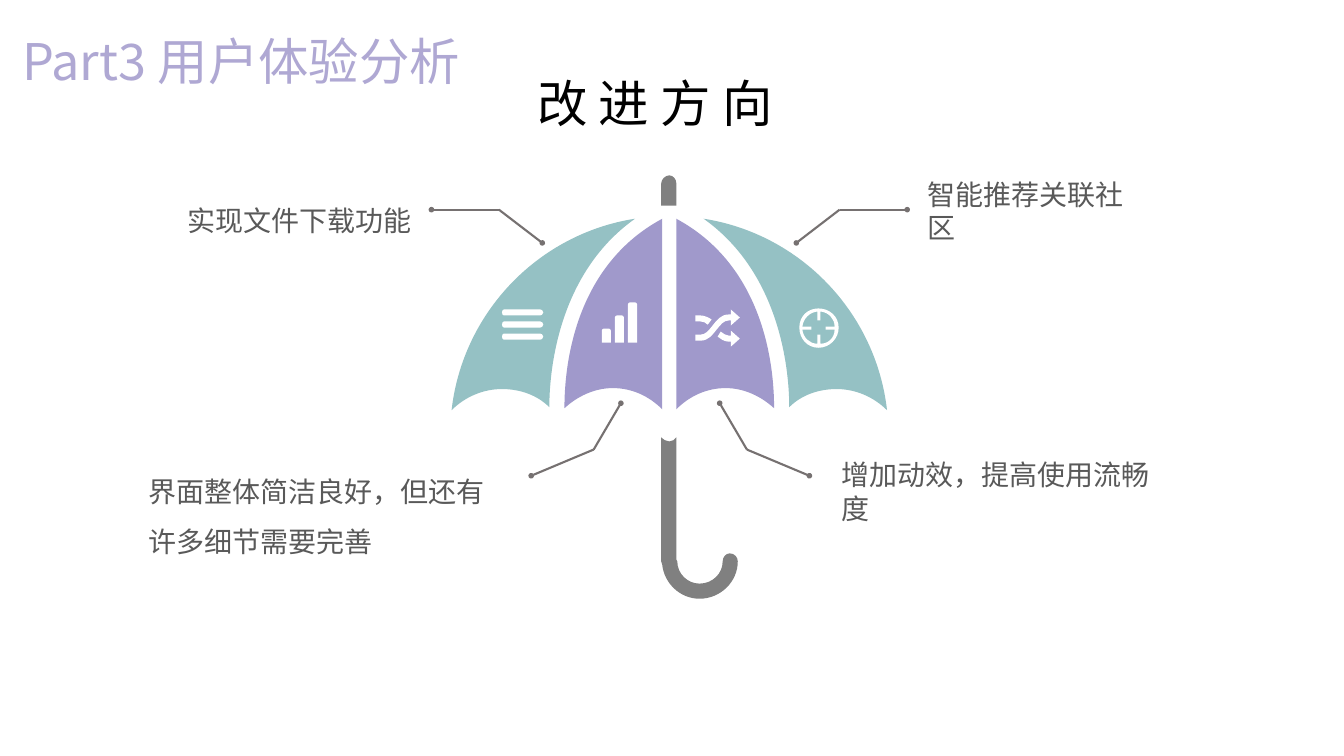
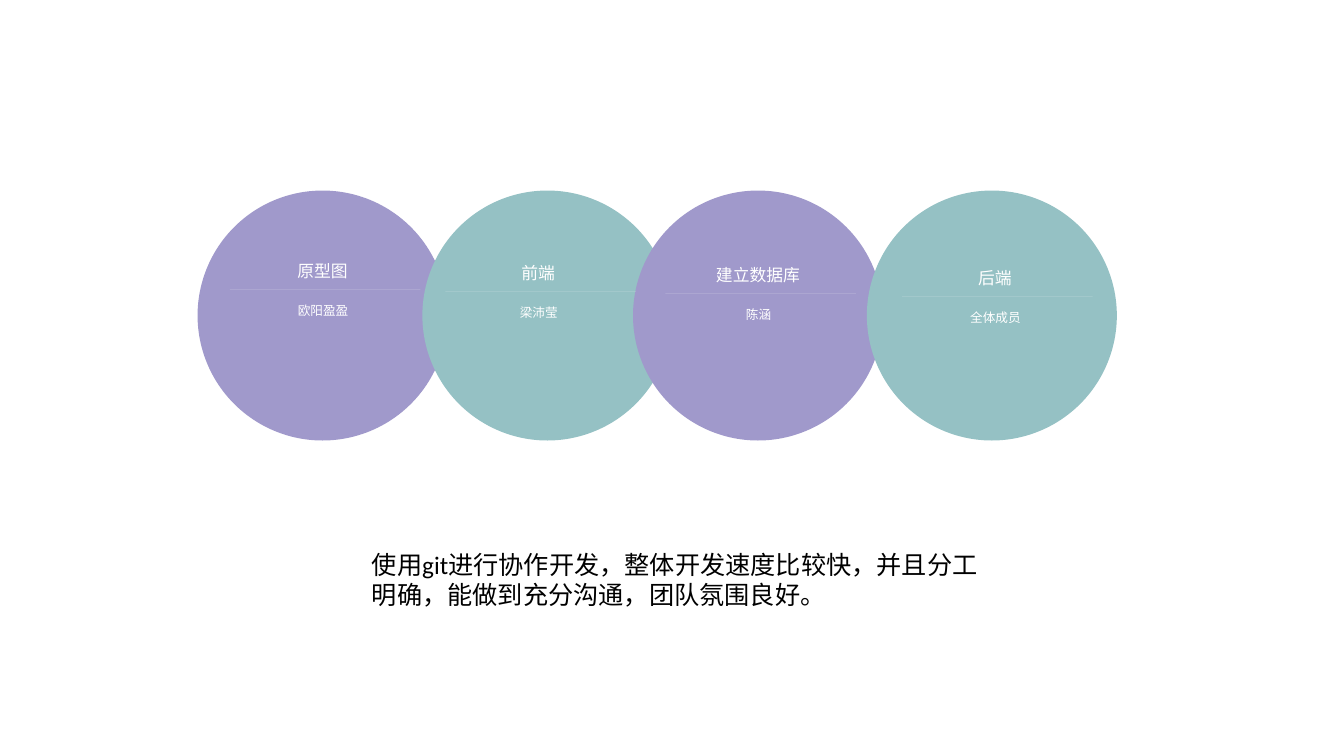
from lxml import etree
from pptx import Presentation
from pptx.dml.color import RGBColor
from pptx.enum import shapes, text
from pptx.oxml import ns
from pptx.util import Inches, Pt


class Theme:
    purple, teal, title = "A099CB", "95C1C4", "AFA8D3"
    grey, leader, body = "808080", "767171", "595959"
    white, black = "FFFFFF", "000000"
    cjk, arial, calibri = "Noto Sans CJK SC", "Arial", "Calibri"
    heading, label, note, role, member = 36, 20, 18, 12, 9
    hairline, rule = 0.1, 1.5


AXIS = 6.64  # centre line of the umbrella

# Slide 1 content: text, left, top, width, height, then colour or line spacing
HEADINGS = [
    ("Part3 用户体验分析", 0.12, 0.25, 4.82, 0.71, Theme.title),
    (" 改 进 方 向", 5.12, 0.67, 3.03, 0.71, Theme.black),
]
LABELS = [
    ("智能推荐关联社区", 9.1, 1.71, 2.41, 0.44, None),
    ("增加动效，提高使用流畅度", 8.25, 4.49, 3.52, 0.44, None),
    ("界面整体简洁良好，但还有许多细节需要完善", 1.37, 4.49, 3.68, 1.05, 1.5),
    ("实现文件下载功能", 1.76, 1.8, 2.5, 0.55, 1.5),
]
# Right-hand leaders with the axis each is mirrored about
LEADERS = [
    (AXIS, [(7.9, 2.41), (8.33, 2.08), (9, 2.08)]),
    (6.65, [(7.14, 4), (7.41, 4.46), (8.03, 4.72)]),
]

# Outlines: a start point, then lines (x, y) and Bezier curves (six numbers)
PANELS = [  # right half of the canopy
    (Theme.purple, [(7.2, 3.85), (7.01, 3.85, 6.84, 3.93, 6.71, 4.06), (6.71, 2.17),
                    (7.64, 2.67, 7.68, 3.76, 7.68, 4.05),
                    (7.55, 3.93, 7.38, 3.85, 7.2, 3.85)]),
    (Theme.teal, [(8.3, 3.86), (8.12, 3.86, 7.95, 3.92, 7.83, 4.04),
                  (7.83, 3.74, 7.77, 2.73, 6.98, 2.17),
                  (7.94, 2.32, 8.69, 3.1, 8.8, 4.07),
                  (8.67, 3.94, 8.49, 3.86, 8.3, 3.86)]),
]
HANDLE = [(6.64, 4.38), (6.61, 4.38, 6.58, 4.36, 6.56, 4.34), (6.56, 5.57),
          (6.56, 5.58, 6.57, 5.59, 6.57, 5.6), (6.59, 5.79, 6.75, 5.94, 6.94, 5.94),
          (7.15, 5.94, 7.32, 5.77, 7.32, 5.57), (7.32, 5.53, 7.29, 5.49, 7.24, 5.49),
          (7.2, 5.49, 7.17, 5.53, 7.17, 5.57), (7.17, 5.69, 7.07, 5.79, 6.94, 5.79),
          (6.82, 5.79, 6.72, 5.69, 6.72, 5.57), (6.72, 5.56, 6.72, 5.56, 6.71, 5.55),
          (6.71, 4.34), (6.7, 4.36, 6.67, 4.38, 6.64, 4.38)]
TIP = [(6.71, 2.04), (6.71, 1.82), (6.71, 1.78, 6.68, 1.74, 6.64, 1.74),
       (6.6, 1.74, 6.56, 1.78, 6.56, 1.82), (6.56, 2.04)]

# Icons, each a list of outlines
MENU = [[(5, y), (5.36, y), (5.37, y, 5.39, y + 0.01, 5.39, y + 0.03),
         (5.39, y + 0.05, 5.37, y + 0.06, 5.36, y + 0.06), (5, y + 0.06),
         (4.99, y + 0.06, 4.98, y + 0.05, 4.98, y + 0.03),
         (4.98, y + 0.01, 4.99, y, 5, y)] for y in (3.07, 3.19, 3.31)]
BARS = [[(x + 0.07, y), (x + 0.02, y), (x + 0.01, y, x, y + 0.01, x, y + 0.02),
         (x, 3.4), (x + 0.09, 3.4), (x + 0.09, y + 0.02),
         (x + 0.09, y + 0.01, x + 0.08, y, x + 0.07, y)]
        for x, y in ((6.23, 3), (6.1, 3.13), (5.97, 3.26))]
SHUFFLE = [
    [(7.25, 3.33), (7.23, 3.33), (7.2, 3.33, 7.18, 3.31, 7.15, 3.29), (7.12, 3.34),
     (7.15, 3.36, 7.18, 3.39, 7.23, 3.39), (7.25, 3.39), (7.25, 3.44),
     (7.34, 3.36), (7.25, 3.28)],
    [(7.02, 3.22), (7.03, 3.21), (7.04, 3.2, 7.05, 3.18, 7.06, 3.17),
     (7.03, 3.15, 6.99, 3.13, 6.95, 3.13), (6.9, 3.13), (6.9, 3.19), (6.95, 3.19),
     (6.98, 3.19, 7, 3.2, 7.02, 3.22)],
    [(7.23, 3.18), (7.25, 3.18), (7.25, 3.23), (7.34, 3.15), (7.25, 3.07),
     (7.25, 3.12), (7.23, 3.12), (7.15, 3.12, 7.11, 3.18, 7.07, 3.23),
     (7.03, 3.28, 7, 3.32, 6.95, 3.32), (6.9, 3.32), (6.9, 3.38), (6.95, 3.38),
     (7.03, 3.38, 7.07, 3.32, 7.11, 3.27), (7.15, 3.22, 7.18, 3.18, 7.23, 3.18)],
]
CROSSHAIR = [
    [(8.14, 3.41), (8.14, 3.32), (8.11, 3.32), (8.11, 3.41),
     (8.03, 3.41, 7.97, 3.35, 7.96, 3.27), (8.05, 3.27), (8.05, 3.24), (7.96, 3.24),
     (7.97, 3.16, 8.03, 3.1, 8.11, 3.09), (8.11, 3.18), (8.14, 3.18), (8.14, 3.09),
     (8.22, 3.1, 8.28, 3.16, 8.28, 3.24), (8.19, 3.24), (8.19, 3.27), (8.28, 3.27),
     (8.28, 3.35, 8.22, 3.41, 8.14, 3.41)],
    [(8.12, 3.06), (8.01, 3.06, 7.93, 3.14, 7.93, 3.25),
     (7.93, 3.36, 8.01, 3.45, 8.12, 3.45), (8.23, 3.45, 8.32, 3.36, 8.32, 3.25),
     (8.32, 3.14, 8.23, 3.06, 8.12, 3.06)],
]

# Slide 2 content: role, member, circle left, text left, text top
ROLES = [
    ("原型图", "欧阳盈盈", 1.96, 1.81, 2.54),
    ("前端", "梁沛莹", 4.19, 3.95, 2.56),
    ("建立数据库", "陈涵", 6.28, 6.13, 2.58),
    ("后端", "全体成员", 8.6, 8.48, 2.61),
]
SUMMARY = "使用git进行协作开发，整体开发速度比较快，并且分工明确，能做到充分沟通，团队氛围良好。"


# Drawing helpers
def color(value):
    return RGBColor.from_string(value)


def paint(sp, fill):
    sp.shadow.inherit = False
    sp.fill.solid()
    sp.fill.fore_color.rgb = color(fill)
    sp.line.fill.background()


def add_text(s, words, x, y, w, h, size, ink, font=Theme.cjk, spacing=None, align=None):
    tf = s.shapes.add_textbox(*map(Inches, (x, y, w, h))).text_frame
    tf.word_wrap = True
    tf.auto_size = text.MSO_AUTO_SIZE.SHAPE_TO_FIT_TEXT
    p = tf.paragraphs[0]
    p.text = words
    p.font.name, p.font.size = font, Pt(size)
    p.font.color.rgb = color(ink)
    ea = etree.SubElement(p.font._element, ns.qn("a:ea"))
    ea.set("typeface", Theme.cjk)
    p.line_spacing, p.alignment = spacing, align


def add_line(s, start, end, ink, width, dot=None, opacity=None):
    line = s.shapes.add_connector(shapes.MSO_CONNECTOR.STRAIGHT,
                                  *map(Inches, (*start, *end)))
    line.line.color.rgb = color(ink)
    line.line.width = Pt(width)
    ln = line.line._get_or_add_ln()
    if opacity:
        rgb = ln.find(".//" + ns.qn("a:srgbClr"))
        etree.SubElement(rgb, ns.qn("a:alpha")).set("val", str(opacity * 1000))
    if dot:
        etree.SubElement(ln, ns.qn(dot), type="oval", w="sm", len="sm")
    etree.SubElement(line._element.spPr, ns.qn("a:effectLst"))


def mirror(outline, axis=AXIS):
    return [tuple(v if i % 2 else 2 * axis - v for i, v in enumerate(part))
            for part in outline]


def add_outline(s, outlines, fill):
    builder = None
    for outline in outlines:
        ends = [tuple(map(Inches, part[-2:])) for part in outline]
        if builder is None:
            builder = s.shapes.build_freeform(*ends[0])
        else:
            builder.move_to(*ends[0])
        builder.add_line_segments(ends[1:], close=False)
    sp = builder.convert_to_shape()
    paint(sp, fill)
    # Turn segments into curves and close each outline
    segments = iter(list(sp._element.iter(ns.qn("a:lnTo"))))
    for outline in outlines:
        for part in outline[1:]:
            seg = next(segments)
            if len(part) == 6:
                seg.tag = ns.qn("a:cubicBezTo")
                for child in list(seg):
                    seg.remove(child)
                for x, y in zip(part[::2], part[1::2]):
                    etree.SubElement(seg, ns.qn("a:pt"), x=str(Inches(x) - sp.left),
                                     y=str(Inches(y) - sp.top))
        seg.addnext(etree.Element(ns.qn("a:close")))


def build_improvements(s):
    # Leaders
    for axis, points in LEADERS:
        for start, bend, end in (points, mirror(points, axis)):
            add_line(s, start, bend, Theme.leader, Theme.rule, "a:headEnd")
            add_line(s, bend, end, Theme.leader, Theme.rule, "a:tailEnd")
    # Umbrella
    for fill, outline in PANELS:
        add_outline(s, [outline], fill)
        add_outline(s, [mirror(outline)], fill)
    for outline in (HANDLE, TIP):
        add_outline(s, [outline], Theme.grey)
    for icon in (MENU, BARS, SHUFFLE, CROSSHAIR):
        add_outline(s, icon, Theme.white)
    # Text
    for *place, spacing in LABELS:
        add_text(s, *place, Theme.label, Theme.body, Theme.arial, spacing)
    for *place, ink in HEADINGS:
        add_text(s, *place, Theme.heading, ink)


def build_team(s):
    # Circles
    for i, (_, _, x, _, _) in enumerate(ROLES):
        circle = s.shapes.add_shape(shapes.MSO_SHAPE.OVAL,
                                    *map(Inches, (x, 1.89, 2.48, 2.48)))
        paint(circle, (Theme.purple, Theme.teal)[i % 2])
    # Role, member and rule
    center = text.PP_ALIGN.CENTER
    for role, member, _, x, y in ROLES:
        add_text(s, role, x, y, 2.78, 0.3, Theme.role, Theme.white, align=center)
        add_text(s, member, x + 0.44, y + 0.42, 1.91, 0.25, Theme.member, Theme.white,
                 align=center)
        add_line(s, (x + 0.47, y + 0.33), (x + 2.36, y + 0.33), Theme.white,
                 Theme.hairline, opacity=37)
    # Summary
    add_text(s, SUMMARY, 3.59, 5.4, 6.35, 0.71, Theme.note, Theme.black, Theme.calibri)


def main():
    prs = Presentation()
    prs.slide_width, prs.slide_height = Inches(40) // 3, Inches(7.5)
    for build in (build_improvements, build_team):
        build(prs.slides.add_slide(prs.slide_layouts[6]))
    prs.save("out.pptx")


if __name__ == "__main__":
    main()
